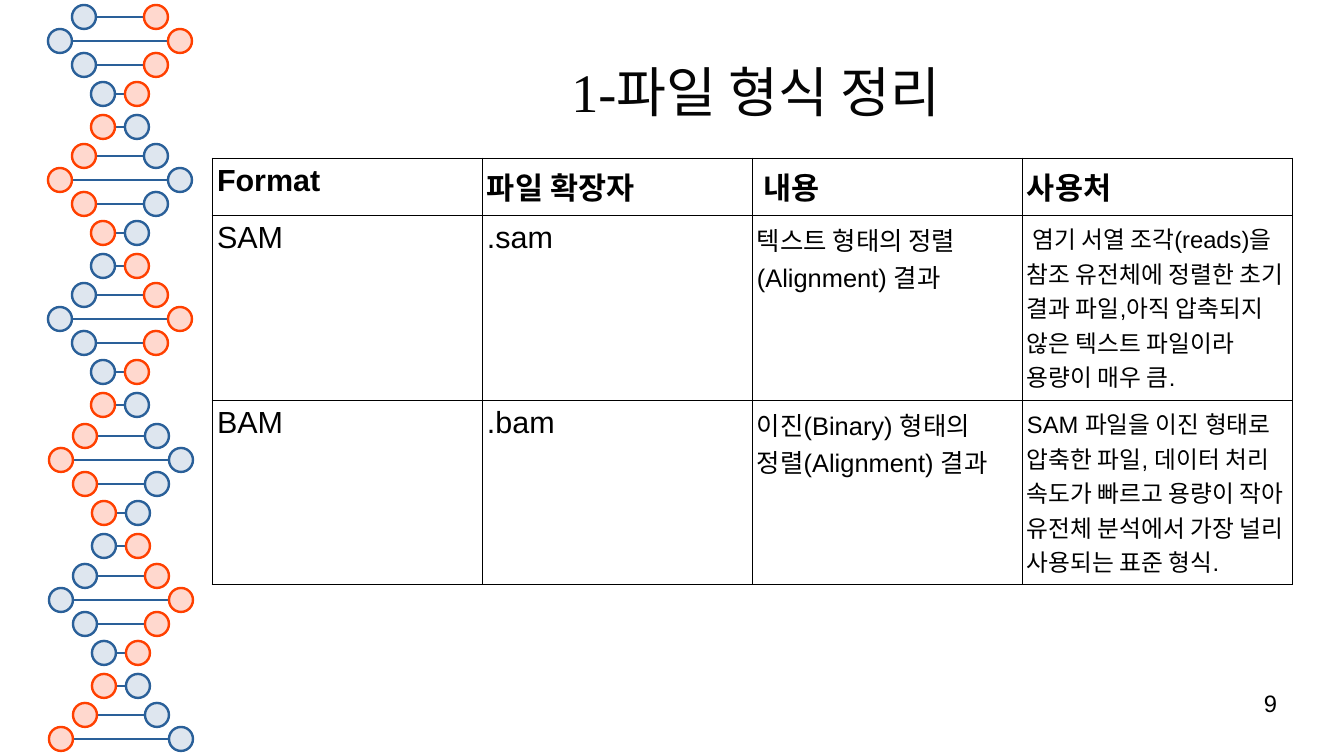
from dataclasses import dataclass

from lxml import etree
from pptx import Presentation
from pptx.dml.color import RGBColor
from pptx.enum.shapes import MSO_CONNECTOR, MSO_SHAPE
from pptx.enum.text import MSO_ANCHOR, MSO_AUTO_SIZE, PP_ALIGN
from pptx.oxml.ns import qn
from pptx.util import Emu, Pt

OVAL = MSO_SHAPE.OVAL
LINE = MSO_CONNECTOR.STRAIGHT
TOP, MIDDLE = MSO_ANCHOR.TOP, MSO_ANCHOR.MIDDLE
FIXED = MSO_AUTO_SIZE.NONE
LEFT, CENTER, RIGHT = PP_ALIGN.LEFT, PP_ALIGN.CENTER, PP_ALIGN.RIGHT

BLUE, PALE, RED, PINK = "2A6099", "DEE6EF", "FF4000", "FFD8CE"
BLACK = "000000"
SCALE = 914400 / 122
DOT = 24
AXIS = 120
SPANS = (36, 60, 36, 17, 17)
DROPS = (0, 24, 48, 77, 110)
SIZES = (18, 18, 15, 14)
HEIGHTS = (57, 185, 185)
ROWS = (
    ("Format", "파일 확장자", " 내용", "사용처"),
    ("SAM", ".sam", "텍스트 형태의 정렬(Alignment) 결과",
     " 염기 서열 조각(reads)을 참조 유전체에 정렬한 초기 결과 파일,"
     "아직 압축되지 않은 텍스트 파일이라 용량이 매우 큼."),
    ("BAM", ".bam", "이진(Binary) 형태의 정렬(Alignment) 결과",
     "SAM 파일을 이진 형태로 압축한 파일, 데이터 처리 속도가 빠르고 "
     "용량이 작아 유전체 분석에서 가장 널리 사용되는 표준 형식."),
)


@dataclass
class Turn:
    top: int
    shift: int = 0
    count: int = 5


@dataclass
class Rung:
    left: int
    right: int
    y: int
    flip: bool


TURNS = (Turn(17), Turn(156), Turn(295), Turn(436, 1), Turn(576, 1), Turn(715, 1, 2))


def px(size: float) -> Emu:
    return Emu(round(size * SCALE))


def rgb(color: str) -> RGBColor:
    return RGBColor.from_string(color)


def write(frame, text: str, size: float = 18, font: str = "Arial",
          color: str = BLACK, bold: bool = False, align=LEFT) -> None:
    line = frame.paragraphs[0]
    line.alignment = align
    run = line.add_run()
    run.text = text
    run.font.size = Pt(size)
    run.font.name = font
    run.font.bold = bold
    run.font.color.rgb = rgb(color)


def frame_up(frame, anchor) -> None:
    frame.word_wrap = True
    frame.auto_size = FIXED
    frame.vertical_anchor = anchor
    frame.margin_left = frame.margin_right = 0
    frame.margin_top = frame.margin_bottom = 0


def place(shape, x: int, y: int, width: int, height: int) -> None:
    shape.left, shape.top = px(x), px(y)
    shape.width, shape.height = px(width), px(height)


def rungs() -> list[Rung]:
    found = []
    for i, turn in enumerate(TURNS):
        mid = AXIS + turn.shift
        for j in range(turn.count):
            flip = (i + j // 4) % 2 == 1
            found.append(Rung(mid - SPANS[j], mid + SPANS[j], turn.top + DROPS[j], flip))
    return found


def draw_bar(shapes, rung: Rung) -> None:
    half = DOT // 2
    bar = shapes.add_connector(LINE, px(rung.left + half), px(rung.y),
                               px(rung.right - half), px(rung.y))
    bar.line.color.rgb = rgb(BLUE)
    bar.line.width = Pt(1.42)
    etree.SubElement(bar.element.spPr, qn("a:effectLst"))


def draw_dot(shapes, x: int, y: int, red: bool) -> None:
    half = DOT // 2
    dot = shapes.add_shape(OVAL, px(x - half), px(y - half), px(DOT), px(DOT))
    dot.shadow.inherit = False
    dot.fill.solid()
    dot.fill.fore_color.rgb = rgb(PINK if red else PALE)
    dot.line.color.rgb = rgb(RED if red else BLUE)
    dot.line.width = Pt(1.42)


def draw_helix(shapes) -> None:
    steps = rungs()
    for rung in steps:
        draw_bar(shapes, rung)
    for rung in steps:
        draw_dot(shapes, rung.left, rung.y, rung.flip)
        draw_dot(shapes, rung.right, rung.y, not rung.flip)


def edge(cell) -> None:
    props = cell._tc.get_or_add_tcPr()
    for side in ("lnL", "lnR", "lnT", "lnB"):
        line = etree.SubElement(props, qn(f"a:{side}"), w=str(Pt(0.57)))
        fill = etree.SubElement(line, qn("a:solidFill"))
        etree.SubElement(fill, qn("a:srgbClr"), val=BLACK)
    cell.fill.background()


def draw_table(shapes) -> None:
    table = shapes.add_table(len(ROWS), len(SIZES), px(212), px(158),
                             px(1080), px(sum(HEIGHTS))).table
    table.first_row = table.horz_banding = False
    for column in table.columns:
        column.width = px(270)
    for i, texts in enumerate(ROWS):
        table.rows[i].height = px(HEIGHTS[i])
        for j, text in enumerate(texts):
            cell = table.cell(i, j)
            cell.margin_left = cell.margin_right = px(5)
            cell.margin_top = cell.margin_bottom = px(6)
            edge(cell)
            write(cell.text_frame, text, size=SIZES[j] if i else 18, bold=i == 0)


def main() -> None:
    deck = Presentation()
    deck.slide_width, deck.slide_height = px(1344), px(756)
    slide = deck.slides.add_slide(deck.slide_layouts[5])
    shapes = slide.shapes
    draw_helix(shapes)

    title = shapes.title
    place(title, 216, 29, 1080, 124)
    frame_up(title.text_frame, MIDDLE)
    write(title.text_frame, "1-파일 형식 정리", size=32, font="Times New Roman",
          color="050505", align=CENTER)

    draw_table(shapes)

    page = shapes.add_textbox(px(964), px(689), px(313), px(52))
    frame_up(page.text_frame, TOP)
    write(page.text_frame, "9", size=14, align=RIGHT)
    deck.save("out.pptx")


if __name__ == "__main__":
    main()
